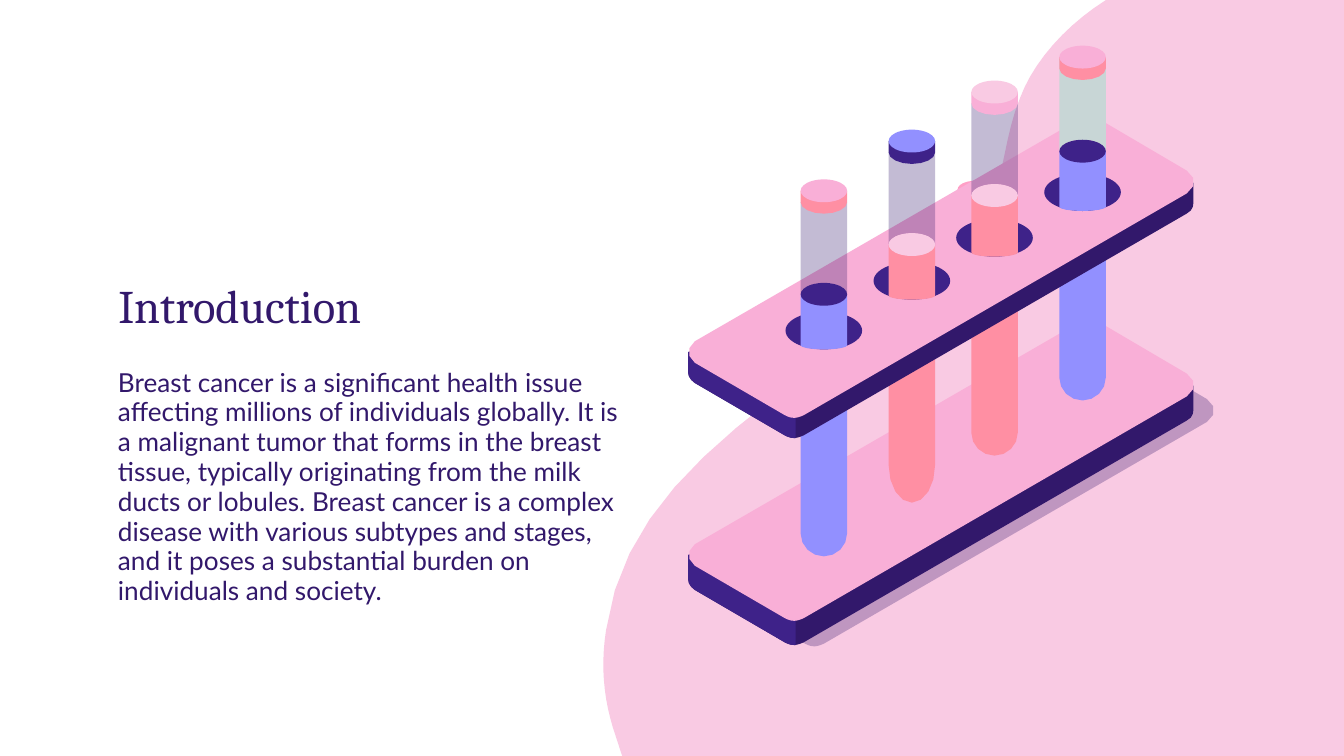
import math

import pptx
import pptx.dml.color
import pptx.enum.shapes
import pptx.enum.text
import pptx.oxml.ns
import pptx.util
from lxml import etree

RGB = pptx.dml.color.RGBColor
INK = RGB(0x32, 0x18, 0x6B)
VIOLET = RGB(0x3E, 0x22, 0x89)
LILAC = RGB(0x92, 0x90, 0xFF)
CORAL = RGB(0xFF, 0x8F, 0xA3)
PINK = RGB(0xF9, 0xAF, 0xD7)
BLUSH = RGB(0xF9, 0xCA, 0xE3)
MINT = RGB(0xC8, 0xD6, 0xD6)
ROSE = RGB(0xFF, 0x5B, 0x97)
LIGHT_ROSE = RGB(0xFF, 0x9F, 0xC6)

# The grid has 1000 columns by 562.5 rows of square cells.
CELL = pptx.util.Inches(0.01)
COLUMNS, ROWS = 1000, 562.5
VEIL = 29  # opacity of glass and shadow, in percent

TUBE_RX, TUBE_RY = 17.3, 8.5
HOLE_RX, HOLE_RY = 28.5, 14
GLASS_HEIGHT = 68.5

# Centre column, then rows of cap, surface, hole and bottom, from the box corner.
TUBES = [
    dict(x=102, cap=108, surface=185, hole=212, bottom=380, tip=17,
         cap_top=PINK, cap_side=CORAL, liquid=LILAC, liquid_top=VIOLET),
    dict(x=167.5, cap=71, surface=148, hole=175, bottom=340, tip=28,
         cap_top=LILAC, cap_side=VIOLET, liquid=CORAL, liquid_top=BLUSH),
    dict(x=229, cap=34.5, surface=111.5, hole=143, bottom=305, tip=17,
         cap_top=BLUSH, cap_side=PINK, liquid=CORAL, liquid_top=BLUSH),
    dict(x=294.5, cap=8.5, surface=78.5, hole=109, bottom=264, tip=17,
         cap_top=PINK, cap_side=CORAL, liquid=LILAC, liquid_top=VIOLET, glass=MINT),
]

# Outlines: a pair is a corner; three pairs are a curve.
BOARD = [
    (299, 0), (296, 0, 293, 1, 290, 2), (6, 166), (0, 170, 0, 178, 6, 182),
    (73, 221), (75, 222, 77, 223, 80, 223), (82, 223, 85, 222, 87, 221),
    (372, 56), (379, 52, 379, 43, 372, 39), (309, 2), (306, 1, 303, 0, 299, 0),
]
LEFT_EDGE = [(1, 174), (1, 177, 3, 180, 6, 182), (73, 221), (75, 222, 77, 223, 80, 223)]
RIGHT_EDGE = [(82, 223, 85, 222, 87, 221), (372, 56), (376, 54, 377, 51, 377, 48)]
BACKDROP = [
    (463, ROWS), (COLUMNS, ROWS), (COLUMNS, 0), (823, 0),
    (793, 19, 769, 46, 759, 73), (745, 107, 748, 143, 725, 176),
    (710, 198, 686, 216, 662, 233), (560, 308, 465, 365, 451, 469),
    (447, 494, 449, 518, 456, 541),
]


def cells(count):
    return pptx.util.Emu(round(count * CELL))


def trace(outline, dx=0, dy=0, steps=3):
    """Turn corners and Bezier curves into points, shifted by dx and dy."""
    points = []
    for node in outline:
        if len(node) == 2:
            points.append(node)
            continue
        knots = [points[-1], node[:2], node[2:4], node[4:]]
        for step in range(1, steps + 1):
            t = step / steps
            weights = ((1 - t) ** 3, 3 * t * (1 - t) ** 2, 3 * t * t * (1 - t), t ** 3)
            points.append(tuple(sum(w * k[axis] for w, k in zip(weights, knots))
                                for axis in (0, 1)))
    return [(x + dx, y + dy) for x, y in points]


def arc(x, y, rx, ry, steps=8):
    """Points of half an ellipse from left to right; a positive ry bulges down."""
    angles = [math.pi * (1 - i / steps) for i in range(steps + 1)]
    return [(x + rx * math.cos(a), y + ry * math.sin(a)) for a in angles]


def paint(shape, colour, opacity=100):
    shape.shadow.inherit = False
    shape.fill.solid()
    shape.fill.fore_color.rgb = colour
    shape.line.fill.background()
    if opacity < 100:
        tone = shape.fill._xPr.find(".//" + pptx.oxml.ns.qn("a:srgbClr"))
        etree.SubElement(tone, pptx.oxml.ns.qn("a:alpha"), val=str(opacity * 1000))


def polygon(slide, points, colour, opacity=100):
    corners = [(cells(x), cells(y)) for x, y in points]
    builder = slide.shapes.build_freeform(*corners[0], scale=1.0)
    builder.add_line_segments(corners[1:], close=True)
    paint(builder.convert_to_shape(), colour, opacity)


def ellipse(slide, x, y, rx, ry, colour):
    box = [cells(n) for n in (x - rx, y - ry, 2 * rx, 2 * ry)]
    paint(slide.shapes.add_shape(pptx.enum.shapes.MSO_SHAPE.OVAL, *box), colour)


def column(slide, x, top, foot, rx, ry, colour, opacity=100):
    """A flat-topped strip whose foot is half an ellipse."""
    polygon(slide, [(x - rx, top)] + arc(x, foot, rx, ry) + [(x + rx, top)], colour, opacity)


def cap(slide, x, y, rx, ry, height, side, top):
    column(slide, x, y, y + height, rx, ry, side)
    ellipse(slide, x, y, rx, ry, top)


def board(slide, left, top, thickness):
    drop = top + thickness
    polygon(slide, trace(LEFT_EDGE + RIGHT_EDGE, left, drop)
            + [(left + 377, top + 48), (left + 1, top + 174)], INK)
    polygon(slide, trace(LEFT_EDGE, left, drop)
            + [(left + 81, drop + 223), (left + 81, top + 174), (left + 1, top + 174)], VIOLET)
    polygon(slide, trace(BOARD, left, top), PINK)


def tube_below(slide, left, top, tube):
    column(slide, left + tube["x"], top + tube["hole"], top + tube["bottom"] - tube["tip"],
           TUBE_RX, tube["tip"], tube["liquid"])


def tube_above(slide, left, top, tube):
    x = left + tube["x"]
    cap_y, surface, hole = (top + tube[part] for part in ("cap", "surface", "hole"))
    ellipse(slide, x, hole, HOLE_RX, HOLE_RY, VIOLET)
    column(slide, x, surface - GLASS_HEIGHT, surface, TUBE_RX, -TUBE_RY,
           tube.get("glass", INK), 100 if "glass" in tube else VEIL)
    column(slide, x, surface, hole + 11, TUBE_RX, 3, tube["liquid"])
    ellipse(slide, x, surface, TUBE_RX, TUBE_RY, tube["liquid_top"])
    cap(slide, x, cap_y, TUBE_RX, TUBE_RY, 8.5, tube["cap_side"], tube["cap_top"])


def rack(slide, left, top):
    """Two boards holding four tubes."""
    upper, lower = top + 54, top + 205
    cap(slide, left + 215, top + 107, 13.5, 6.5, 7, ROSE, LIGHT_ROSE)
    polygon(slide, trace(BOARD, left + 15, lower + 19), INK, VEIL)
    board(slide, left, lower, 18)
    for tube in TUBES:
        tube_below(slide, left, top, tube)
    board(slide, left, upper, 15)
    for tube in TUBES:
        tube_above(slide, left, top, tube)


def write(holder, box, words, anchor, line_spacing, font):
    for side, count in zip(("left", "top", "width", "height"), box):
        setattr(holder, side, cells(count))
    frame = holder.text_frame
    frame.text = words
    layout = dict(word_wrap=True, auto_size=pptx.enum.text.MSO_AUTO_SIZE.NONE,
                  vertical_anchor=anchor)
    layout.update({"margin_" + side: cells(10) for side in ("left", "top", "right", "bottom")})
    for name, value in layout.items():
        setattr(frame, name, value)
    paragraph = frame.paragraphs[0]
    paragraph.alignment = pptx.enum.text.PP_ALIGN.LEFT
    paragraph.line_spacing = line_spacing
    run = paragraph.runs[0]
    for name, value in font.items():
        setattr(run.font, name, value)
    run.font.color.rgb = INK


def introduction(slide, left, top):
    anchors = pptx.enum.text.MSO_ANCHOR
    write(slide.shapes.title, (left, top, 411, 63), "Introduction", anchors.MIDDLE, 1.0,
          dict(name="Cambria", size=pptx.util.Pt(25)))
    write(slide.shapes.add_textbox(0, 0, 0, 0), (left, top + 69, 394, 217),
          "Breast cancer is a significant health issue affecting millions of individuals "
          "globally. It is a malignant tumor that forms in the breast tissue, typically "
          "originating from the milk ducts or lobules. Breast cancer is a complex disease "
          "with various subtypes and stages, and it poses a substantial burden on "
          "individuals and society.", anchors.TOP, 0.95,
          dict(name="Lato", size=pptx.util.Pt(14)))


def main():
    deck = pptx.Presentation()
    deck.slide_width, deck.slide_height = cells(COLUMNS), cells(ROWS)
    slide = deck.slides.add_slide(deck.slide_layouts[5])
    polygon(slide, trace(BACKDROP, steps=10), BLUSH)
    introduction(slide, 78, 195)
    rack(slide, 511, 34)
    deck.save("out.pptx")


if __name__ == "__main__":
    main()
